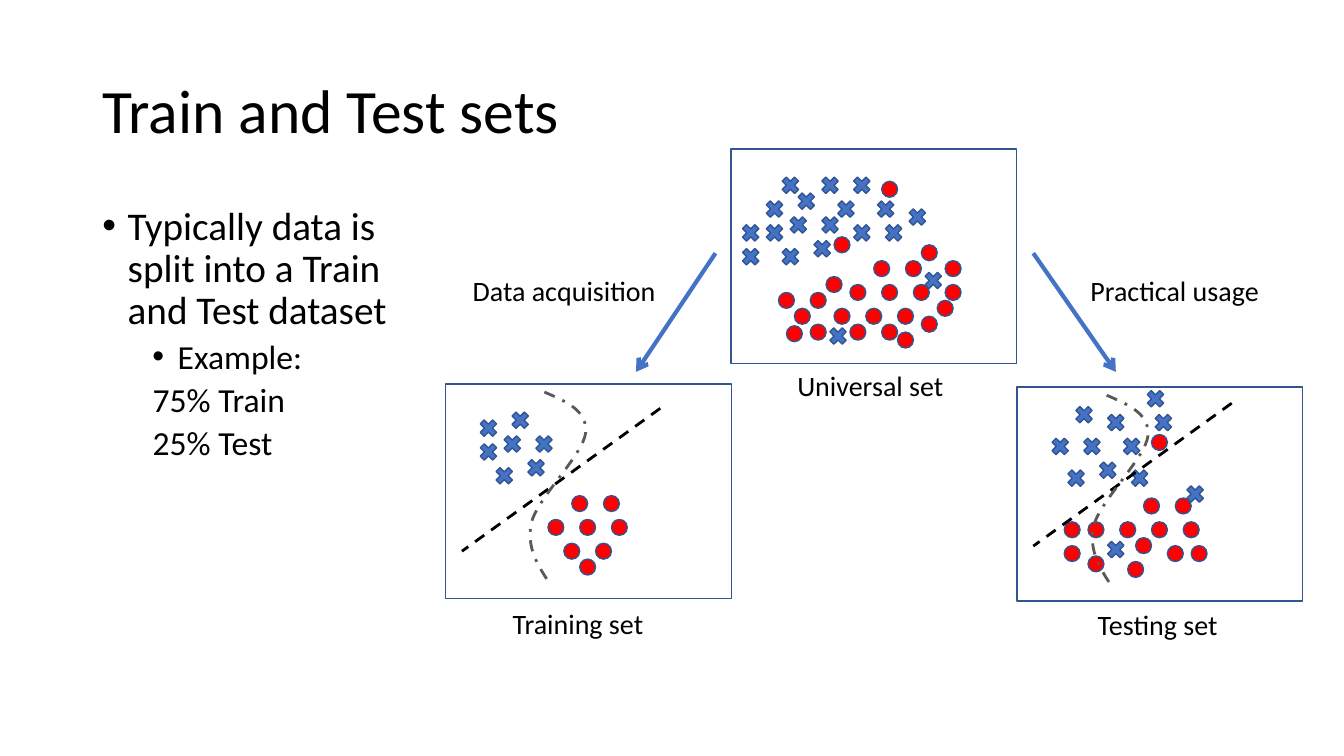
from dataclasses import dataclass

from lxml.etree import SubElement
from pptx import Presentation
from pptx.dml.color import RGBColor
from pptx.enum.dml import MSO_LINE_DASH_STYLE as Dash
from pptx.enum.shapes import MSO_CONNECTOR as Connector, MSO_SHAPE as Preset
from pptx.enum.text import MSO_ANCHOR as Anchor, PP_ALIGN as Align
from pptx.oxml.ns import qn
from pptx.util import Cm, Pt

Point = tuple[float, float]

FONT = "Calibri"
BLACK, WHITE, GREY = "000000", "FFFFFF", "595959"
BLUE, DARK_BLUE, RED = "4472C4", "325491", "FF0000"
PANEL_SIZE = (7.2, 5.4)
GRID = 0.2  # spacing of the sample grid in cm
CROSS_SIZE, DOT_SIZE = (0.6, 0.6), (0.4, 0.4)
STRAIGHT_SPAN = (-5, 3.6)
# Bezier control points and knots, relative to the start of the curve
CURVE = [(0.53, 0.23), (1.09, 0.46), (1.04, 1.02),
         (0.99, 1.57), (-0.18, 2.67), (-0.33, 3.3),
         (-0.46, 3.94), (-0.15, 4.39), (0.15, 4.85)]


@dataclass
class Dataset:
    corner: Point
    origin: Point  # start of the sample grid
    crosses: list[Point]
    dots: list[Point]
    straight_start: Point | None = None
    curve_start: Point | None = None


@dataclass
class Label:
    text: str
    corner: Point
    width: float
    align: Align = Align.LEFT


@dataclass
class Line:
    text: str
    size: float
    before: float
    margin: float
    bullet_indent: float = 0


DATASETS = [
    Dataset((25.63, 9.75), (26.42, 9.75),
            [(0, 6), (3, 2), (7, 3), (12, 0), (9, 6), (6, 9), (2, 10), (4, 6),
             (13, 3), (17, 12), (7, 19), (10, 10)],
            [(12, 14), (9, 17), (16, 14), (13, 17), (11, 19), (17, 17), (15, 20),
             (10, 22), (5, 17), (5, 21.3), (13, 6), (18, 20), (2, 17), (2, 20)],
            (31.04, 10.16), (27.89, 9.96)),
    Dataset((18.42, 3.76), (18.62, 4.37),
            [(3, 3), (6, 5), (5, 0), (3, 6), (0, 6), (9, 8), (5, 9), (12, 3),
             (17, 3), (14, 6), (14, 0), (10, 0), (7, 2), (10, 5), (0, 9),
             (11, 19), (23, 12), (18, 6), (21, 4)],
            [(17, 11), (14, 14), (21, 11), (18, 14), (16, 17), (22, 14), (20, 17),
             (18, 19), (23, 9), (26, 14), (25, 16), (26, 11), (23, 18), (11, 13),
             (14, 19), (12, 17), (9, 15), (20, 20), (9, 19), (18, 1), (12, 8),
             (7, 17), (5, 15), (6, 19.2)]),
    Dataset((11.23, 9.68), (12.01, 10.29),
            [(0, 1), (3, 3), (4, 0), (0, 4), (7, 3), (6, 6), (2, 7)],
            [(12, 11), (9, 14), (16, 11), (13, 14), (11, 17), (17, 14),
             (15, 17), (13, 19)],
            (16.64, 10.29), (13.72, 9.88)),
]
LABELS = [
    Label("Training set", (12.67, 15.16), 3.99),
    Label("Universal set", (19.84, 9.17), 4.19, Align.CENTER),
    Label("Testing set", (27.08, 15.19), 4.19, Align.CENTER),
    Label("Data acquisition", (11.66, 6.76), 5.21),
    Label("Practical usage", (27.23, 6.76), 4.8),
]
TITLE = [Line("Train and Test sets", 44, 0, 0)]
BODY = [
    Line("Typically data is split into a Train and Test dataset", 28, 10, 0.64, 0.64),
    Line("Example:", 24, 5, 1.9, 0.64),
    Line("75% Train", 24, 5, 1.27),
    Line("25% Test", 24, 5, 1.27),
]
ARROWS = [((18.03, 6.38), (16.03, 9.37)), ((26.04, 6.38), (28.12, 9.37))]


def color(value: str) -> RGBColor:
    return RGBColor.from_string(value)


def shift(start: Point, offset: Point, scale: float = 1) -> Point:
    return start[0] + offset[0] * scale, start[1] + offset[1] * scale


def apply(target, values: dict) -> None:
    for name, value in values.items():
        setattr(target, name, value)


def style_line(line, value: str, width: float, dash: Dash | None = None) -> None:
    line.color.rgb = color(value)
    apply(line, {"width": Pt(width), "dash_style": dash})


def add_preset(slide, preset: Preset, corner: Point, size: Point, fill: str) -> None:
    shape = slide.shapes.add_shape(preset, *map(Cm, corner + size))
    shape.shadow.inherit = False
    shape.fill.solid()
    shape.fill.fore_color.rgb = color(fill)
    style_line(shape.line, DARK_BLUE, 1)


def add_straight(slide, start: Point, end: Point, value: str, width: float,
                 dash: Dash | None = None, arrow: bool = False) -> None:
    connector = slide.shapes.add_connector(Connector.STRAIGHT, *map(Cm, start + end))
    style_line(connector.line, value, width, dash)
    if arrow:
        SubElement(connector.line._get_or_add_ln(), qn("a:tailEnd"), type="arrow")
    SubElement(connector._element.spPr, qn("a:effectLst"))


def add_curve(slide, start: Point) -> None:
    builder = slide.shapes.build_freeform(*map(Cm, start))
    points = [tuple(map(Cm, shift(start, offset))) for offset in CURVE]
    builder.add_line_segments(points, close=False)
    shape = builder.convert_to_shape()
    shape.shadow.inherit = False
    shape.fill.background()
    style_line(shape.line, GREY, 2, Dash.DASH_DOT)
    # Every three straight segments become one Bezier segment
    segments = shape._element.xpath(".//a:lnTo")
    outline = segments[0].getparent()
    for index in range(0, len(segments), 3):
        bezier = SubElement(outline, qn("a:cubicBezTo"))
        for segment in segments[index:index + 3]:
            bezier.append(segment[0])
            outline.remove(segment)


def add_text(slide, corner: Point, size: Point, lines: list[Line],
             anchor: Anchor = Anchor.TOP, align: Align = Align.LEFT,
             spacing: float = 0.9, wrap: bool = True) -> None:
    frame = slide.shapes.add_textbox(*map(Cm, corner + size)).text_frame
    apply(frame, {"word_wrap": wrap, "vertical_anchor": anchor})
    for index, line in enumerate(lines):
        paragraph = frame.add_paragraph() if index else frame.paragraphs[0]
        paragraph.text = line.text
        apply(paragraph, {"alignment": align, "line_spacing": spacing,
                          "space_before": Pt(line.before)})
        apply(paragraph.font, {"name": FONT, "size": Pt(line.size)})
        paragraph.font.color.rgb = color(BLACK)
        properties = paragraph._p.get_or_add_pPr()
        properties.set("marL", str(Cm(line.margin)))
        properties.set("indent", str(-Cm(line.bullet_indent)))
        if line.bullet_indent:
            SubElement(properties, qn("a:buFont"), typeface="Arial")
            SubElement(properties, qn("a:buChar"), char="•")


def add_dataset(slide, dataset: Dataset) -> None:
    add_preset(slide, Preset.FLOWCHART_PROCESS, dataset.corner, PANEL_SIZE, WHITE)
    for preset, cells, size, fill in (
            (Preset.FLOWCHART_CONNECTOR, dataset.dots, DOT_SIZE, RED),
            (Preset.MATH_MULTIPLY, dataset.crosses, CROSS_SIZE, BLUE)):
        for cell in cells:
            add_preset(slide, preset, shift(dataset.origin, cell, GRID), size, fill)
    if dataset.straight_start:
        end = shift(dataset.straight_start, STRAIGHT_SPAN)
        add_straight(slide, dataset.straight_start, end, BLACK, 2, Dash.DASH)
    if dataset.curve_start:
        add_curve(slide, dataset.curve_start)


def main() -> None:
    presentation = Presentation()
    apply(presentation, {"slide_width": Cm(33.87), "slide_height": Cm(19.05)})
    slide = presentation.slides.add_slide(presentation.slide_layouts[6])

    # Title and bullets
    add_text(slide, (2.33, 1.01), (29.21, 3.68), TITLE, Anchor.MIDDLE)
    add_text(slide, (2.33, 5.07), (7.75, 12.09), BODY)

    # Panels with their samples and decision boundaries
    for dataset in DATASETS:
        add_dataset(slide, dataset)

    # Arrows and captions
    for start, end in ARROWS:
        add_straight(slide, start, end, BLUE, 3, arrow=True)
    for label in LABELS:
        add_text(slide, label.corner, (label.width, 1.11), [Line(label.text, 20, 0, 0)],
                 align=label.align, spacing=1.0, wrap=False)

    presentation.save("out.pptx")


if __name__ == "__main__":
    main()
